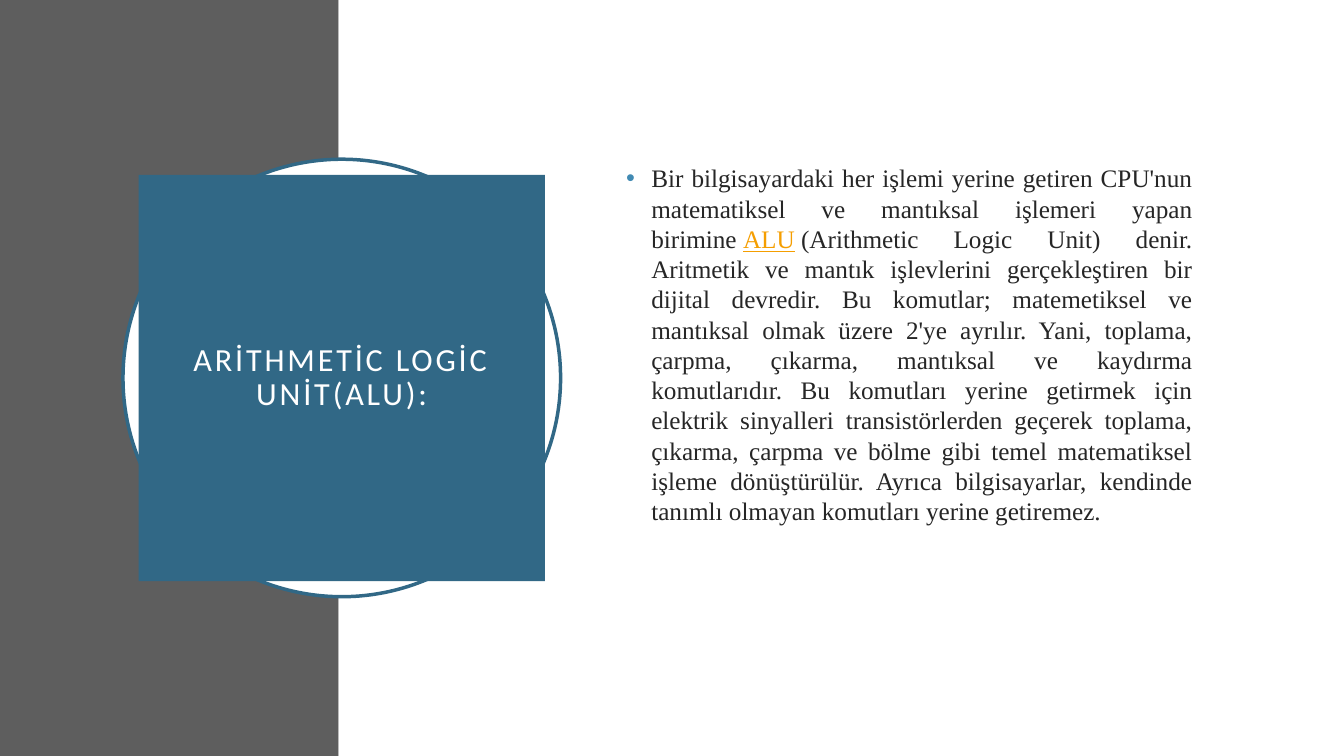
"""Builds a slide that explains the arithmetic logic unit."""
from dataclasses import dataclass

from lxml import etree
from pptx import Presentation
from pptx.dml.color import RGBColor
from pptx.enum.shapes import MSO_SHAPE
from pptx.enum.text import MSO_ANCHOR, MSO_AUTO_SIZE, PP_ALIGN
from pptx.oxml.ns import qn
from pptx.util import Inches, Pt

RECTANGLE, OVAL = MSO_SHAPE.RECTANGLE, MSO_SHAPE.OVAL
MIDDLE, NO_FIT = MSO_ANCHOR.MIDDLE, MSO_AUTO_SIZE.NONE
CENTER, JUSTIFY = PP_ALIGN.CENTER, PP_ALIGN.JUSTIFY
FIXED_SPACE = chr(160)

HEADING = "ARİTHMETİC LOGİC UNİT(ALU):"
INTRO = (
    "Bir bilgisayardaki her işlemi yerine getiren CPU'nun matematiksel ve "
    "mantıksal işlemeri yapan birimine"
)
TERM = "ALU"
EXPLANATION = (
    "(Arithmetic Logic Unit) denir. Aritmetik ve mantık işlevlerini "
    "gerçekleştiren bir dijital devredir. Bu komutlar; matemetiksel ve "
    "mantıksal olmak üzere 2'ye ayrılır. Yani, toplama, çarpma, çıkarma, "
    "mantıksal ve kaydırma komutlarıdır. Bu komutları yerine getirmek için "
    "elektrik sinyalleri transistörlerden geçerek toplama, çıkarma, çarpma ve "
    "bölme gibi temel matematiksel işleme dönüştürülür. Ayrıca bilgisayarlar, "
    "kendinde tanımlı olmayan komutları yerine getiremez."
)
DEFINITION = [
    (INTRO + FIXED_SPACE, False),
    (TERM, True),
    (FIXED_SPACE + EXPLANATION, False),
]


@dataclass(frozen=True)
class Theme:
    """Colours, fonts and type sizes."""
    white: str = "FFFFFF"
    band: str = "5E5E5E"
    accent: str = "316886"
    bullet: str = "418AB3"
    ink: str = "262626"
    term: str = "F59E00"
    heading_font: str = "Calibri"
    body_font: str = "Times New Roman"
    heading_size: int = 23
    body_size: int = 18


THEME = Theme()
WIDTH, HEIGHT, BAND_WIDTH = 13.33, 7.5, 3.36
CENTER_X, CENTER_Y = 3.39, 3.75
RING_SIZE, HEADING_SIZE = 4.34, 4.03
BODY_BOX = (6.11, 0.86, 5.82, 5.11)


def color(code):
    """Return an RGB colour."""
    return RGBColor.from_string(code)


def centered(size):
    """Return a square box around the ring centre."""
    return CENTER_X - size / 2, CENTER_Y - size / 2, size, size


def place(shape, box):
    """Move and size a shape in inches."""
    shape.left, shape.top, shape.width, shape.height = map(Inches, box)


def add_backdrop(slide, preset, box, fill, outline=None):
    """Add a filled shape."""
    backdrop = slide.shapes.add_shape(preset, *map(Inches, box))
    backdrop.shadow.inherit = False
    backdrop.fill.solid()
    backdrop.fill.fore_color.rgb = color(fill)
    if outline:
        backdrop.line.color.rgb = color(outline)
        backdrop.line.width = Pt(2.5)
    else:
        backdrop.line.fill.background()
    return backdrop


def prepare(placeholder, box, align, spacing):
    """Place a placeholder and return its formatted first paragraph."""
    place(placeholder, box)
    frame = placeholder.text_frame
    frame.word_wrap = True
    frame.auto_size = NO_FIT
    frame.vertical_anchor = MIDDLE
    paragraph = frame.paragraphs[0]
    paragraph.alignment = align
    paragraph.line_spacing = spacing
    return paragraph


def set_font(paragraph, name, size):
    """Set the typeface and size of a paragraph."""
    paragraph.font.name = name
    paragraph.font.size = Pt(size)


def add_bullet(paragraph):
    """Give a paragraph a coloured bullet with a hanging indent."""
    properties = paragraph._p.get_or_add_pPr()
    properties.set("marL", str(Inches(0.25)))
    properties.set("indent", str(Inches(-0.25)))
    bullet_color = etree.SubElement(properties, qn("a:buClr"))
    etree.SubElement(bullet_color, qn("a:srgbClr"), val=THEME.bullet)
    etree.SubElement(properties, qn("a:buFont"), typeface="Arial")
    etree.SubElement(properties, qn("a:buChar"), char="•")


def fill_heading(title):
    """Write the heading on its coloured panel."""
    title.fill.solid()
    title.fill.fore_color.rgb = color(THEME.accent)
    paragraph = prepare(title, centered(HEADING_SIZE), CENTER, 0.9)
    frame = title.text_frame
    frame.margin_left = frame.margin_right = Inches(0.2)
    frame.margin_top = frame.margin_bottom = Inches(0.2)
    set_font(paragraph, THEME.heading_font, THEME.heading_size)
    paragraph.font.color.rgb = color(THEME.white)
    heading = paragraph.add_run()
    heading.text = HEADING
    heading._r.get_or_add_rPr().set("spc", "200")


def fill_definition(body):
    """Write the definition with its highlighted term."""
    paragraph = prepare(body, BODY_BOX, JUSTIFY, 1.0)
    paragraph.space_before = Pt(10)
    add_bullet(paragraph)
    set_font(paragraph, THEME.body_font, THEME.body_size)
    for wording, is_term in DEFINITION:
        run = paragraph.add_run()
        run.text = wording
        run.font.color.rgb = color(THEME.term if is_term else THEME.ink)
        if is_term:
            run.font.underline = True


def main():
    """Build and save the slide."""
    deck = Presentation()
    deck.slide_width, deck.slide_height = Inches(WIDTH), Inches(HEIGHT)
    slide = deck.slides.add_slide(deck.slide_layouts[1])
    backdrops = [
        (RECTANGLE, (0, 0, BAND_WIDTH, HEIGHT), THEME.band),
        (RECTANGLE, (BAND_WIDTH, 0, WIDTH - BAND_WIDTH, HEIGHT), THEME.white),
        (OVAL, centered(RING_SIZE), THEME.white, THEME.accent),
    ]
    title, body = slide.placeholders
    for backdrop in backdrops:
        shape = add_backdrop(slide, *backdrop)
        title._element.addprevious(shape._element)
    fill_heading(title)
    fill_definition(body)
    deck.save("out.pptx")


if __name__ == "__main__":
    main()
